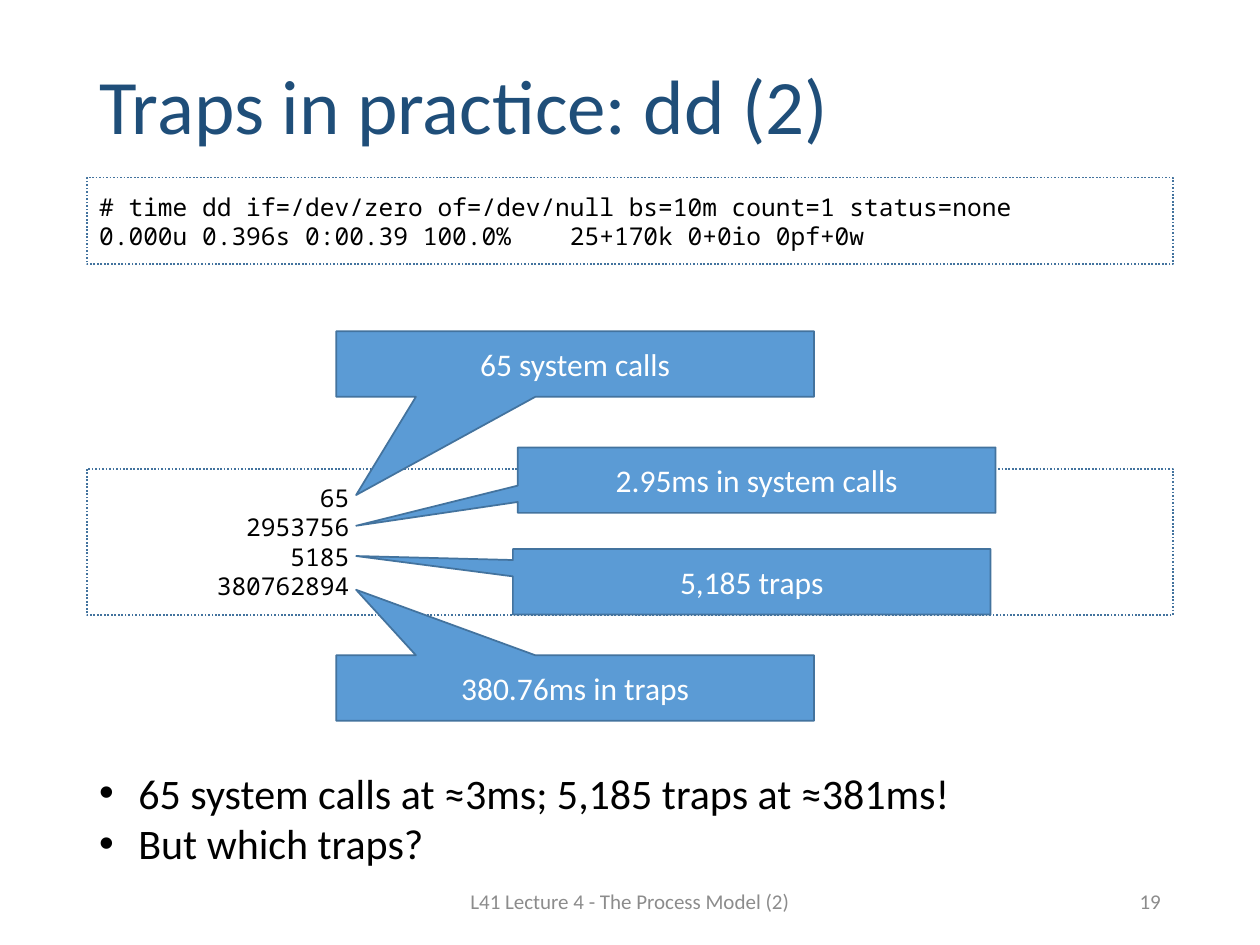
from lxml import etree
from pptx import Presentation, util as u
from pptx.dml.color import RGBColor
from pptx.enum import dml, shapes, text
from pptx.oxml.ns import qn

NAVY = RGBColor(0x1F, 0x4E, 0x79)
BLUE = RGBColor(0x5B, 0x9B, 0xD5)
EDGE = RGBColor(0x43, 0x73, 0x9E)
GREY = RGBColor(0x8C, 0x8C, 0x8C)
BLACK = RGBColor(0, 0, 0)
WHITE = RGBColor(255, 255, 255)
LEFT, CENTER, RIGHT = text.PP_ALIGN.LEFT, text.PP_ALIGN.CENTER, text.PP_ALIGN.RIGHT
TOP, MIDDLE = text.MSO_ANCHOR.TOP, text.MSO_ANCHOR.MIDDLE

# Content
TITLE = "Traps in practice: dd (2)"
COMMAND = [
    "# time dd if=/dev/zero of=/dev/null bs=10m count=1 status=none",
    "0.000u 0.396s 0:00.39 100.0%    25+170k 0+0io 0pf+0w",
]
COUNTS = ["65", "2953756", "5185", "380762894"]
COUNT_COLUMNS = 17
CALLOUTS = [  # label, left, top, height of the tip (cm)
    ("65 system calls", 6.78, 6.68, 9.98),
    ("2.95ms in system calls", 10.44, 9.02, 10.6),
    ("5,185 traps", 10.34, 11.07, 11.21),
    ("380.76ms in traps", 6.78, 13.21, 11.89),
]
BULLETS = ["65 system calls at ≈3ms; 5,185 traps at ≈381ms!", "But which traps?"]
FOOTER, NUMBER = "L41 Lecture 4 - The Process Model (2)", "19"

# Layout (cm)
MARGIN, BODY_W = 1.75, 21.9
CALLOUT_W, CALLOUT_H, TIP_X = 9.63, 1.32, 7.18
FOOTER_Y, FOOTER_H = 17.65, 1.02

# Text formats
TITLE_FONT = dict(name="Calibri", size=u.Pt(44), color=NAVY)
CODE_FONT = dict(name="Noto Sans Mono", size=u.Pt(14), color=BLACK)
CALLOUT_FONT = dict(name="Calibri", size=u.Pt(18), color=WHITE)
BULLET_FONT = dict(name="Calibri", size=u.Pt(24), color=BLACK)
FOOTER_FONT = dict(name="Calibri", size=u.Pt(12), color=GREY)


def write(sp, lines, font, align=LEFT, anchor=MIDDLE, bullet=False, spacing=None):
    tf = sp.text_frame
    tf.word_wrap, tf.vertical_anchor = True, anchor
    for i, line in enumerate(lines):
        p = tf.paragraphs[0] if i == 0 else tf.add_paragraph()
        p.alignment = align
        if spacing:
            p.line_spacing = spacing
        if bullet:
            pPr = p._p.get_or_add_pPr()
            indent = u.Cm(0.79)
            pPr.set("marL", str(indent))
            pPr.set("indent", str(-indent))
            etree.SubElement(pPr, qn("a:buFont")).set("typeface", "Arial")
            etree.SubElement(pPr, qn("a:buChar")).set("char", "•")
        r = p.add_run()
        r.text = line
        for key, value in font.items():
            if key == "color":
                r.font.color.rgb = value
            else:
                setattr(r.font, key, value)


def add_text(s, box, lines, font, **layout):
    sp = s.shapes.add_textbox(*map(u.Cm, box))
    write(sp, lines, font, **layout)
    return sp


def add_outlined(s, kind, box, fill=None):
    sp = s.shapes.add_shape(kind, *map(u.Cm, box))
    sp.shadow.inherit = False
    if fill is None:
        sp.fill.background()
    else:
        sp.fill.solid()
        sp.fill.fore_color.rgb = fill
    sp.line.color.rgb = EDGE
    sp.line.width = u.Pt(1)
    return sp


def add_code(s, top, height, lines):
    sp = add_outlined(s, shapes.MSO_SHAPE.RECTANGLE, (MARGIN, top, BODY_W, height))
    sp.line.dash_style = dml.MSO_LINE.ROUND_DOT
    write(sp, lines, CODE_FONT)


def add_callout(s, label, left, top, tip_y):
    sp = add_outlined(s, shapes.MSO_SHAPE.RECTANGULAR_CALLOUT,
                      (left, top, CALLOUT_W, CALLOUT_H), BLUE)
    # The tip is given relative to the centre, as a share of the size
    sp.adjustments[0] = (TIP_X - left) / CALLOUT_W - 0.5
    sp.adjustments[1] = (tip_y - top) / CALLOUT_H - 0.5
    write(sp, [label], CALLOUT_FONT, align=CENTER)


def main():
    prs = Presentation()
    prs.slide_width, prs.slide_height = u.Cm(25.4), u.Cm(19.05)
    s = prs.slides.add_slide(prs.slide_layouts[6])

    # Command and title
    add_code(s, 3.58, 1.75, COMMAND)
    add_text(s, (MARGIN, 0.64, BODY_W, 3.12), [TITLE], TITLE_FONT, spacing=0.9)

    # Footer
    add_text(s, (8.41, FOOTER_Y, 8.58, FOOTER_H), [FOOTER], FOOTER_FONT, align=CENTER)
    add_text(s, (17.93, FOOTER_Y, 5.72, FOOTER_H), [NUMBER], FOOTER_FONT, align=RIGHT)

    # Measured counts, with the conclusions below
    add_code(s, 9.45, 2.95, [count.rjust(COUNT_COLUMNS) for count in COUNTS])
    add_text(s, (MARGIN, 15.34, BODY_W, 2.31), BULLETS, BULLET_FONT,
             anchor=TOP, bullet=True)

    # Callouts pointing at the counts
    for callout in CALLOUTS:
        add_callout(s, *callout)

    prs.save("out.pptx")


if __name__ == "__main__":
    main()
